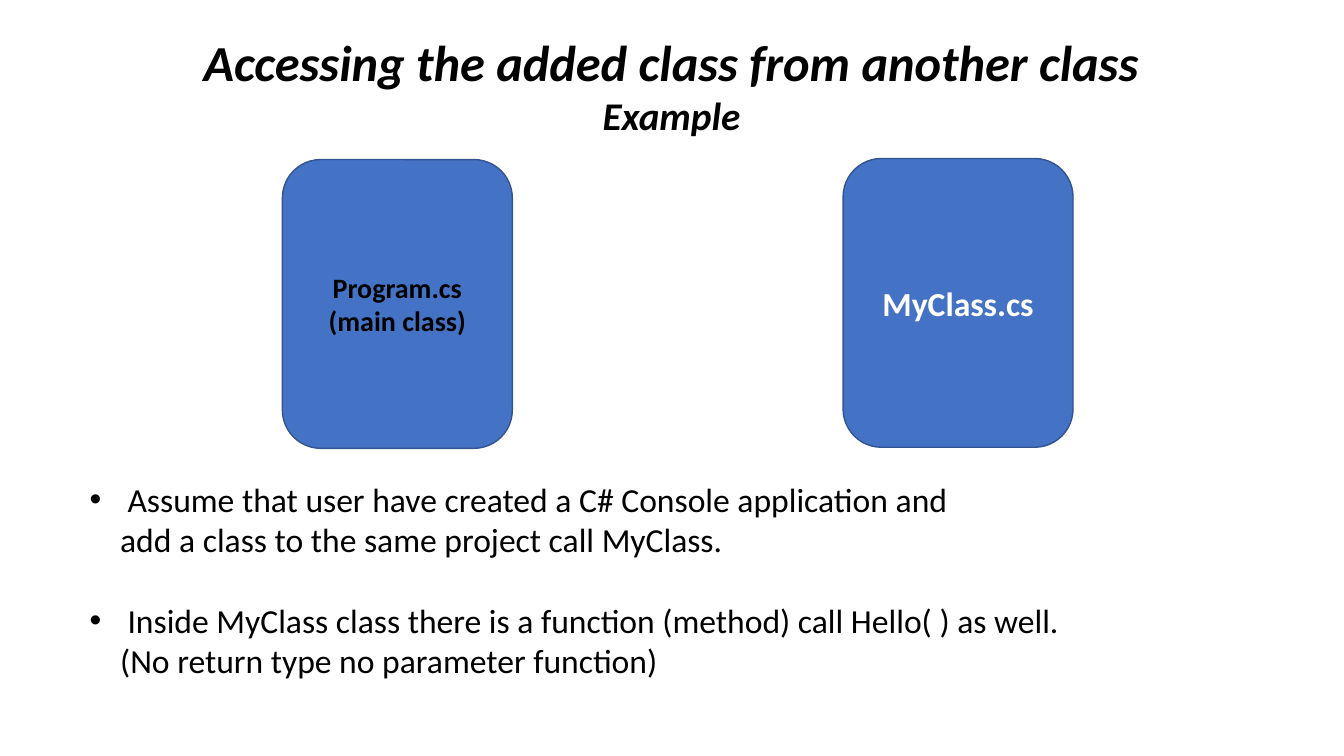
import pptx
import pptx.dml.color
import pptx.enum.shapes
import pptx.enum.text
import pptx.oxml
import pptx.oxml.ns
import pptx.util

PX = 9525  # EMU per px, 96 px to the inch
BLACK = pptx.dml.color.RGBColor(0x00, 0x00, 0x00)
WHITE = pptx.dml.color.RGBColor(0xFF, 0xFF, 0xFF)
BLUE = pptx.dml.color.RGBColor(0x44, 0x72, 0xC4)
DARK_BLUE = pptx.dml.color.RGBColor(0x32, 0x54, 0x91)
CENTER = pptx.enum.text.PP_ALIGN.CENTER
TOP = pptx.enum.text.MSO_ANCHOR.TOP
MIDDLE = pptx.enum.text.MSO_ANCHOR.MIDDLE


def place(sp, *box):
    for name, px in zip(("left", "top", "width", "height"), box):
        setattr(sp, name, px * PX)


def add_lines(tf, lines, color, align=None, anchor=TOP, **font):
    """Write (text, point size) lines as paragraphs and return them."""
    frame = {"word_wrap": True, "vertical_anchor": anchor,
             "auto_size": pptx.enum.text.MSO_AUTO_SIZE.NONE}
    for name, value in frame.items():
        setattr(tf, name, value)
    for i, (text, size) in enumerate(lines):
        p = tf.add_paragraph() if i else tf.paragraphs[0]
        p.alignment = align
        r = p.add_run()
        r.text = text
        r.font.color.rgb = color
        form = {"name": "Calibri", "size": pptx.util.Pt(size), **font}
        for name, value in form.items():
            setattr(r.font, name, value)
    return tf.paragraphs


prs = pptx.Presentation()
prs.slide_width, prs.slide_height = 1280 * PX, 720 * PX
s = prs.slides.add_slide(prs.slide_layouts[5])

title = s.shapes.title
place(title, 76, 25, 1127, 113)
add_lines(title.text_frame,
          [("Accessing the added class from another class", 36), ("Example", 28)],
          BLACK, CENTER, bold=True, italic=True)

class_files = [
    (803, 151, WHITE, [("MyClass.cs", 24)]),
    (269, 152, BLACK, [("Program.cs", 20), ("(main class)", 20)]),
]
for left, top, color, lines in class_files:
    sp = s.shapes.add_shape(pptx.enum.shapes.MSO_SHAPE.ROUNDED_RECTANGLE,
                            left * PX, top * PX, 219 * PX, 275 * PX)
    sp.shadow.inherit = False
    sp.fill.solid()
    sp.fill.fore_color.rgb = BLUE
    sp.line.color.rgb = DARK_BLUE
    sp.line.width = pptx.util.Pt(1)
    add_lines(sp.text_frame, lines, color, CENTER, MIDDLE, bold=True)

notes = [
    ("Assume that user have created a C# Console application and",
     "add a class to the same project call MyClass."),
    ("Inside MyClass class there is a function (method) call Hello( ) as well.",
     "(No return type no parameter function)"),
]
body = s.shapes.add_textbox(0, 0, 0, 0)
place(body, 76, 451, 1241, 242)
paragraphs = add_lines(body.text_frame,
                       [(text, 24) for note in notes for text in note], BLACK)
for p in paragraphs[1::2]:
    p._p.get_or_add_pPr().set("marL", str(29 * PX))
for p in paragraphs[::2]:
    pPr = p._p.get_or_add_pPr()
    pPr.set("marL", str(36 * PX))
    pPr.set("indent", str(-36 * PX))
    for tag, name, value in (("a:buFont", "typeface", "Arial"),
                             ("a:buChar", "char", "•")):
        bullet = pptx.oxml.parse_xml(f'<{tag} {pptx.oxml.ns.nsdecls("a")}/>')
        bullet.set(name, value)
        pPr.append(bullet)
paragraphs[2].space_before = pptx.util.Pt(29)

prs.save("out.pptx")
